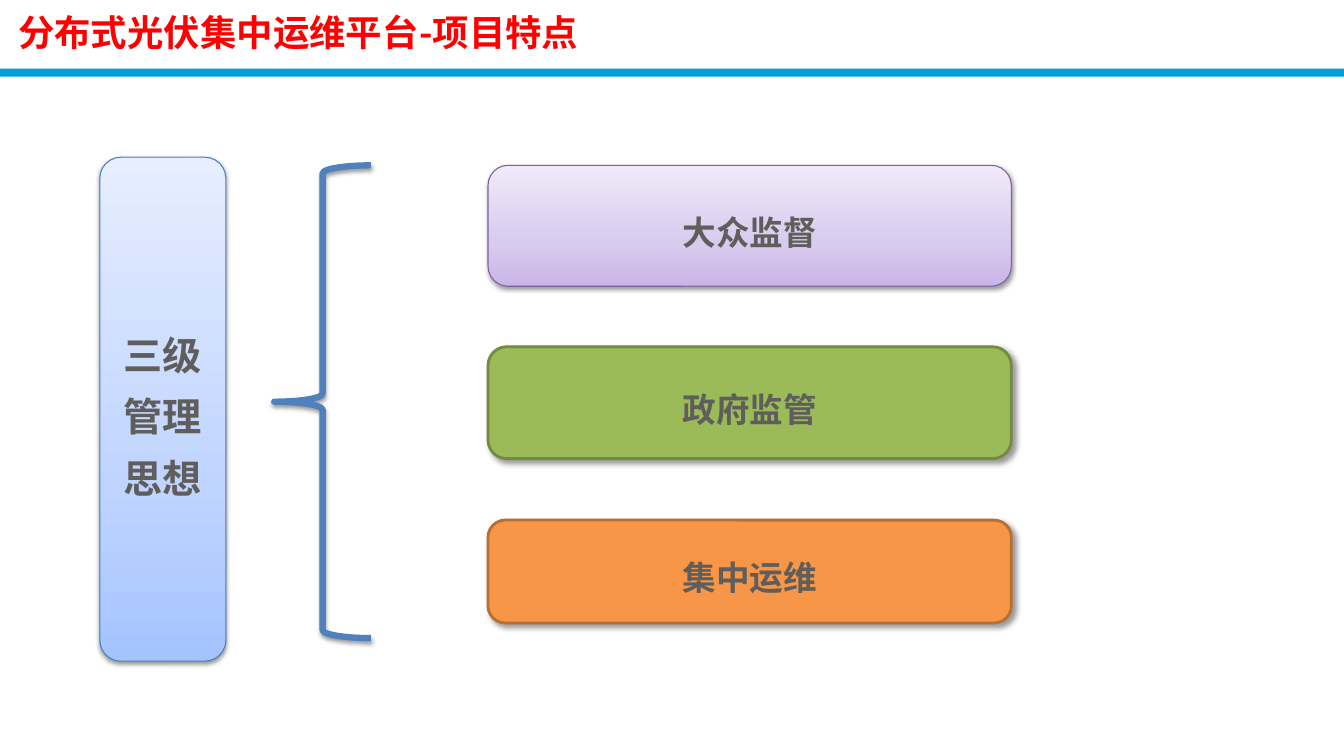
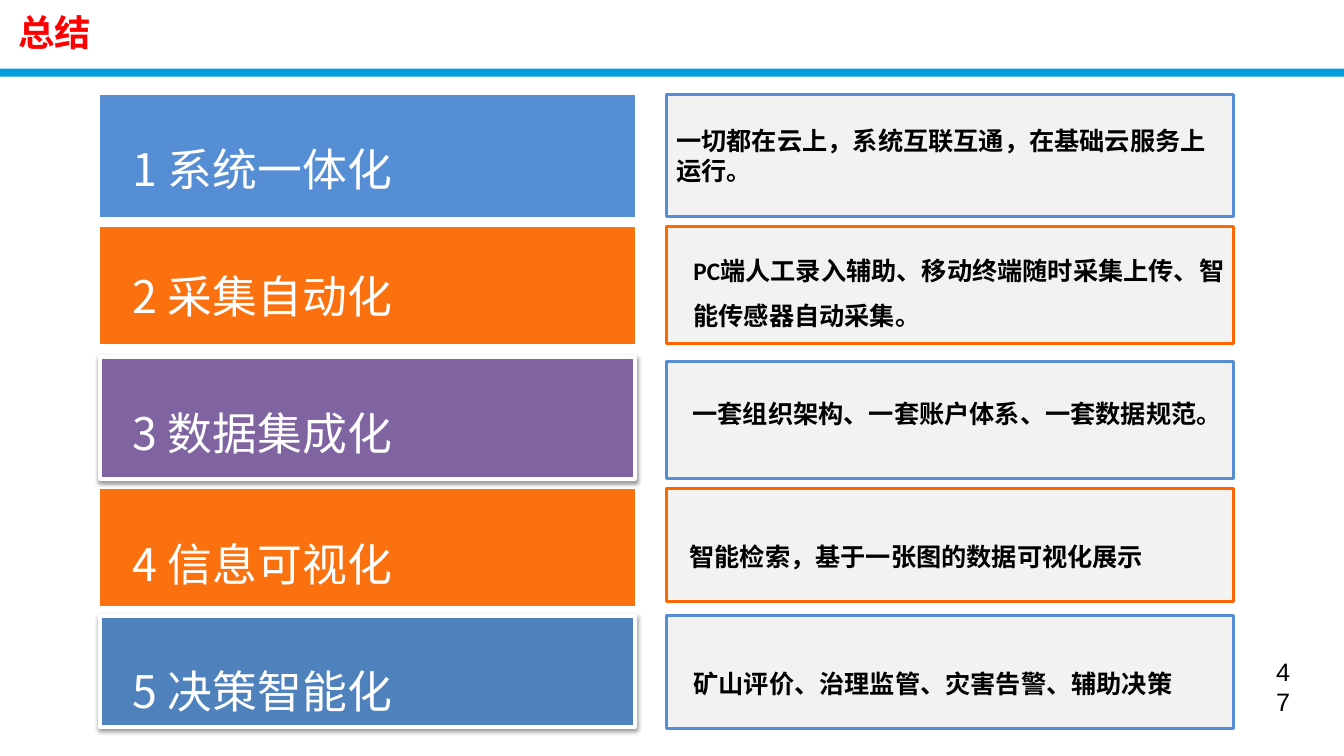
from lxml import etree
from pptx import Presentation
from pptx.dml.color import RGBColor as Rgb
from pptx.enum.shapes import MSO_SHAPE as Kind
from pptx.enum.text import MSO_ANCHOR as Anchor, MSO_AUTO_SIZE as Auto, PP_ALIGN as Align
from pptx.oxml import parse_xml as to_xml
from pptx.oxml.ns import nsdecls, qn
from pptx.util import Inches, Pt

INK = {
    "band": "009EDB", "title": "FF0000", "text": "000000", "grey": "5F5E5C",
    "white": "FFFFFF", "pale": "F2F2F2", "sky": "558ED5", "blue": "4F81BD",
    "edge": "4B7EBC", "flame": "FB710F", "rust": "FF6600", "plum": "8064A2",
    "violet": "7D60A0", "green": "9BBB59", "moss": "738A42",
    "amber": "F79646", "brown": "B76F34",
}
LILAC = [(0, "C9B5E8"), (35, "D8CBEE"), (100, "F0EAF9")]
AZURE = [(0, "A4C4FF"), (35, "BFD4FF"), (100, "E6EEFF")]
# Shadows: opacity %, blur pt, distance pt, direction in degrees
SOFT = (38, 3.1, 1.6, 90)
DEEP = (40, 4, 3, 45)
HAN = "Noto Sans CJK SC"


def rgb(name):
    return Rgb.from_string(INK[name])


# Text
def add_run(para, text, size, font, ink, bold=False):
    run = para.add_run()
    run.text = text
    face = run.font
    face.size, face.name, face.bold = Pt(size), font, bold
    face.color.rgb = rgb(ink)
    east = etree.SubElement(face._element, qn("a:ea"))
    east.set("typeface", font)


def add_text(slide, at, runs, size, ink, bold=False, space=None):
    box = slide.shapes.add_textbox(*map(Inches, at))
    frame = box.text_frame
    frame.word_wrap = True
    if space:
        frame.auto_size = Auto.SHAPE_TO_FIT_TEXT
    para = frame.paragraphs[0]
    para.line_spacing = space
    for text, font in runs:
        add_run(para, text, size, font, ink, bold)


# Shapes
def set_grad(shape, stops):
    shape.fill.background()
    gs = "".join(f'<a:gs pos="{pos * 1000}"><a:srgbClr val="{hue}"/></a:gs>'
                 for pos, hue in stops)
    grad = to_xml(f'<a:gradFill {nsdecls("a")} rotWithShape="1"><a:gsLst>{gs}</a:gsLst>'
                  '<a:lin ang="16200000" scaled="0"/></a:gradFill>')
    props = shape._element.spPr
    props.replace(props.find(qn("a:noFill")), grad)


def set_shade(shape, shade):
    shape.shadow.inherit = False
    if shade:
        alpha, blur, dist, turn = shade
        list_ = shape._element.spPr.find(qn("a:effectLst"))
        list_.append(to_xml(
            f'<a:outerShdw {nsdecls("a")} blurRad="{Pt(blur)}" dist="{Pt(dist)}" '
            f'dir="{turn * 60000}" rotWithShape="0"><a:srgbClr val="000000">'
            f'<a:alpha val="{alpha * 1000}"/></a:srgbClr></a:outerShdw>'))


def add_box(slide, kind, at, fill=None, line=None, width=2, shade=None):
    shape = slide.shapes.add_shape(kind, *map(Inches, at))
    if isinstance(fill, list):
        set_grad(shape, fill)
    elif fill:
        shape.fill.solid()
        shape.fill.fore_color.rgb = rgb(fill)
    else:
        shape.fill.background()
    if line:
        shape.line.color.rgb = rgb(line)
        shape.line.width = Pt(width)
    else:
        shape.line.fill.background()
    set_shade(shape, shade)
    return shape


def set_label(shape, text, size, font, ink, align, space=None):
    frame = shape.text_frame
    frame.word_wrap = True
    frame.vertical_anchor = Anchor.MIDDLE
    para = frame.paragraphs[0]
    para.alignment, para.line_spacing = align, space
    add_run(para, text, size, font, ink, True)


def add_card(slide, at, text, size, fill, line, width, shade):
    card = add_box(slide, Kind.ROUNDED_RECTANGLE, at, fill, line, width, shade)
    set_label(card, text, size, HAN, "grey", Align.CENTER, 1.3)


# Shared layout: title place and band
def set_layout(deck):
    layout = deck.slide_layouts[5]
    title = layout.placeholders[0]
    title.left, title.top, title.width, title.height = map(Inches, (0.08, 0.08, 12, 0.48))
    title.text_frame.vertical_anchor = Anchor.MIDDLE
    return layout


def add_band(slide, layout):
    band = add_box(slide, Kind.RECTANGLE, (0, 0.68, 13.33, 0.08), "band")
    layout.shapes._spTree.append(band._element)


def add_page(deck, layout, title):
    slide = deck.slides.add_slide(layout)
    para = slide.shapes.title.text_frame.paragraphs[0]
    para.alignment = Align.LEFT
    add_run(para, title, 26, HAN, "title", True)
    return slide


# Slide content
def add_tiers(slide):
    tiers = [
        ("大众监督", 1.64, 1.2, LILAC, "violet", 0.75, SOFT),
        ("政府监管", 3.44, 1.11, "green", "moss", 2, DEEP),
        ("集中运维", 5.16, 1.02, "amber", "brown", 2, DEEP),
    ]
    for text, top, high, fill, line, width, shade in tiers:
        add_card(slide, (4.84, top, 5.19, high), text, 24, fill, line, width, shade)
    add_card(slide, (0.99, 1.56, 1.25, 5), "三级管理思想", 28, AZURE, "edge", 0.75, SOFT)
    add_box(slide, Kind.LEFT_BRACE, (2.72, 1.64, 0.96, 4.69), None, "blue", 4.5, SOFT)


def add_points(slide):
    # Head: text, text top, box top, height, fill, raised
    heads = [
        ("系统一体化", 1.09, 0.94, 1.21, "sky", False),
        ("采集自动化", 2.35, 2.25, 1.16, "flame", False),
        ("数据集成化", 3.71, 3.54, 1.21, "plum", True),
        ("信息可视化", 5.01, 4.85, 1.16, "flame", False),
        ("决策智能化", 6.27, 6.11, 1.1, "blue", True),
    ]
    for num, (text, mark, top, high, fill, raised) in enumerate(heads, 1):
        add_box(slide, Kind.FLOWCHART_PROCESS, (0.99, top, 5.31, high), fill,
                "white" if raised else None, 3, SOFT if raised else None)
        add_text(slide, (1.22, mark, 4.68, 0.91), [(f"{num} {text}", HAN)],
                 32, "white", space=1.5)

    # Note frames: top, height
    frames = [(0.94, 1.21), (2.25, 1.16), (3.59, 1.16), (4.85, 1.12), (6.11, 1.12)]
    panes = [add_box(slide, Kind.FLOWCHART_PROCESS, (6.61, top, 5.62, high), "pale",
                     "rust" if i % 2 else "sky")
             for i, (top, high) in enumerate(frames)]
    set_label(panes[0], "一切都在云上，系统互联互通，在基础云服务上运行。",
              18, "Calibri", "text", Align.LEFT)
    notes = [
        ((6.78, 2.33, 5.47, 1.01), [("PC端人工录入辅助、移动终端随时采集上传、", "Calibri"),
                                    ("智能传感器自动采集。", "Arial")]),
        ((6.77, 3.75, 5.23, 1.01), [("一套组织架构、一套账户体系、一套数据规范。", "Arial")]),
        ((6.74, 5.17, 5.47, 0.56), [("智能检索，基于一张图的数据可视化展示", "Calibri")]),
        ((6.78, 6.43, 5.23, 0.56), [("矿山评价、治理监管、灾害告警、辅助决策", "Arial")]),
    ]
    for at, runs in notes:
        add_text(slide, at, runs, 18, "text", True, 1.5)

    # Page number
    add_text(slide, (12.56, 6.46, 0.47, 0.4), [("47", "Arial")], 18, "text")


def main():
    deck = Presentation()
    deck.slide_width, deck.slide_height = Inches(13.33), Inches(7.5)
    layout = set_layout(deck)
    first = add_page(deck, layout, "分布式光伏集中运维平台-项目特点")
    add_band(first, layout)
    add_tiers(first)
    add_points(add_page(deck, layout, "总结"))
    deck.save("out.pptx")


if __name__ == "__main__":
    main()
